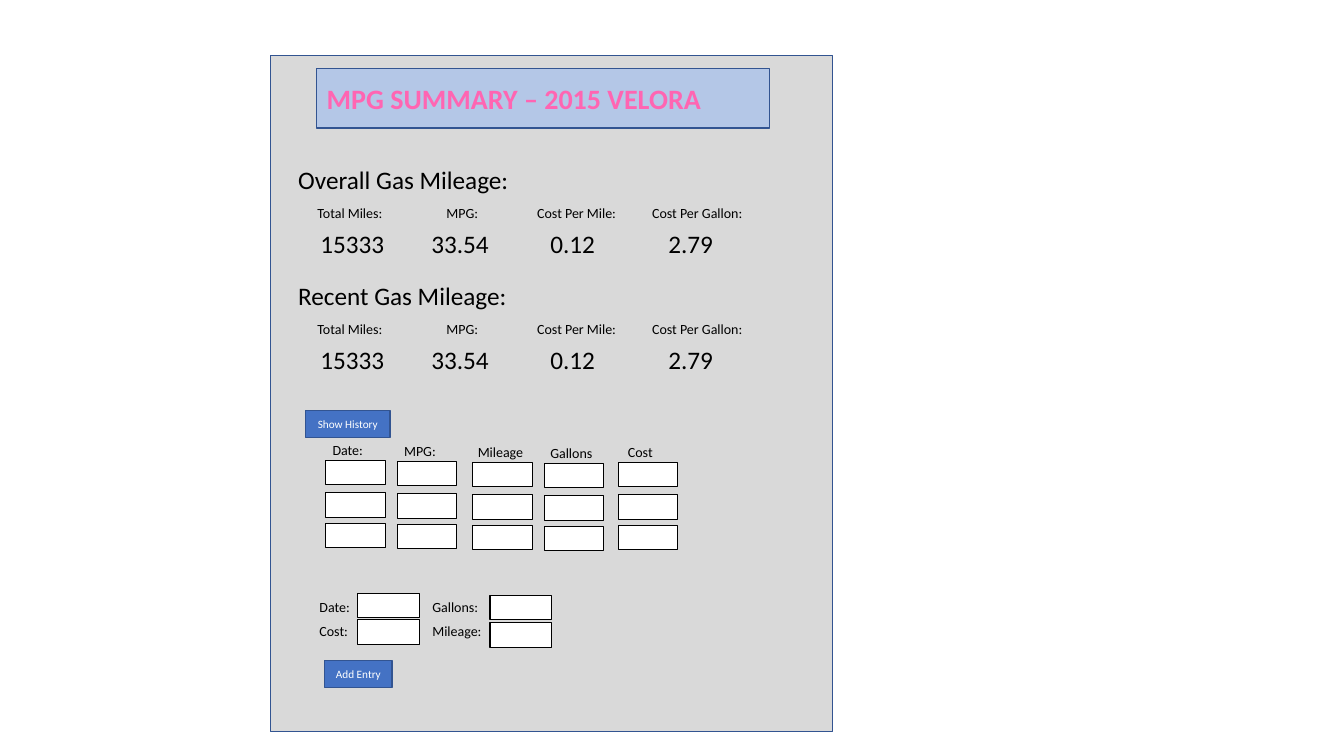
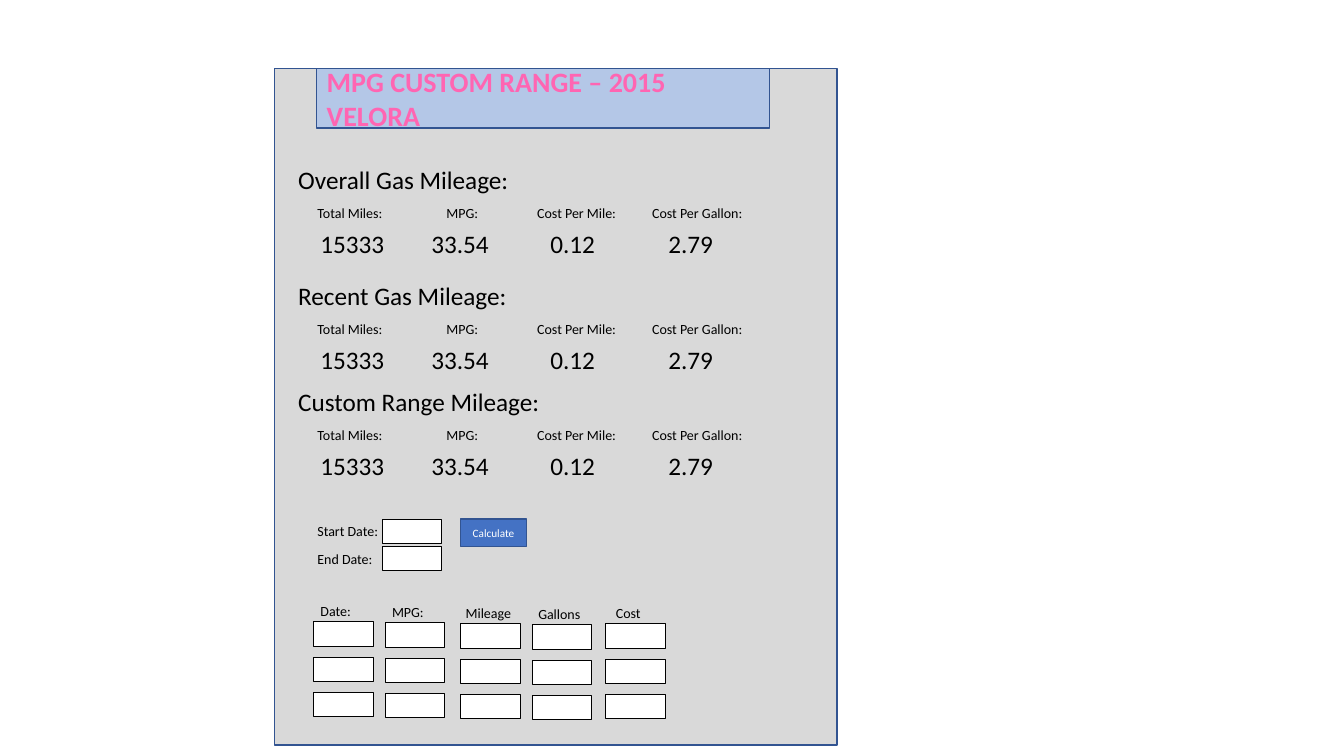
from pptx import Presentation
from pptx.dml.color import RGBColor
from pptx.enum.shapes import MSO_SHAPE
from pptx.enum.text import MSO_ANCHOR, MSO_AUTO_SIZE, PP_ALIGN
from pptx.util import Inches, Pt

RECT = MSO_SHAPE.RECTANGLE
LEFT, CENTER = PP_ALIGN.LEFT, PP_ALIGN.CENTER
TOP, MIDDLE = MSO_ANCHOR.TOP, MSO_ANCHOR.MIDDLE
NO_FIT = MSO_AUTO_SIZE.NONE
TITLE_ONLY = 5

COLORS = {"panel": "D9D9D9", "band": "B4C7E7", "button": "4472C4",
          "field": "FFFFFF", "border": "325491", "black": "000000",
          "white": "FFFFFF", "title": "FF65B2"}

# Size, bold, colour, alignment and anchor of each kind of text
TEXT = {
    "title": (20, True, "title", LEFT, MIDDLE),
    "heading": (18, False, "black", LEFT, TOP),
    "label": (10, False, "black", LEFT, TOP),
    "button": (8, False, "white", CENTER, MIDDLE),
}

# Fill, border colour and border width of each kind of box
BOX = {
    "panel": ("panel", "border", 1),
    "title": ("band", "border", 1),
    "button": ("button", "border", 1),
    "field": ("field", "black", 0.75),
}

# Label, its left and width, value, its left
STATS = [
    ("Total Miles:", 3.05, 0.89, "15333", 3.08),
    ("MPG:", 4.33, 0.59, "33.54", 4.18),
    ("Cost Per Mile:", 5.23, 1.16, "0.12", 5.36),
    ("Cost Per Gallon:", 6.37, 1.16, "2.79", 6.53),
]

# History column: label, label shift, left and top offset of its fields
HISTORY = [
    ("Date:", -0.03, 0, 0),
    ("MPG:", -0.03, 0.71, 0.01),
    ("Mileage", -0.05, 1.46, 0.02),
    ("Gallons", -0.04, 2.17, 0.03),
    ("Cost", 0, 2.9, 0.02),
]

# Inputs: label, its left, top and width, then left, top and width of the field
SLIDES = [
    {
        "title": "MPG SUMMARY – 2015 VELORA",
        "panel": (2.68, 0.55),
        "sections": [("Overall Gas Mileage:", 1.58),
                     ("Recent Gas Mileage:", 2.73)],
        "buttons": [("Show History", 3.03, 4.07, 0.84),
                    ("Add Entry", 3.22, 6.55, 0.67)],
        "history": (3.23, [4.57, 4.89, 5.19]),
        "inputs": [("Date:", 3.07, 5.89, 0.59, 3.55, 5.89, 0.61),
                   ("Cost:", 3.07, 6.13, 0.54, 3.55, 6.15, 0.61),
                   ("Gallons:", 4.19, 5.89, 1.16, 4.86, 5.91, 0.61),
                   ("Mileage:", 4.19, 6.13, 1.16, 4.86, 6.18, 0.61)],
    },
    {
        "title": "MPG CUSTOM RANGE – 2015 VELORA",
        "panel": (2.72, 0.68),
        "sections": [("Overall Gas Mileage:", 1.58),
                     ("Recent Gas Mileage:", 2.73),
                     ("Custom Range Mileage:", 3.78)],
        "buttons": [("Calculate", 4.57, 5.15, 0.65)],
        "history": (3.11, [6.17, 6.52, 6.87]),
        "inputs": [("Start Date:", 3.05, 5.13, 0.83, 3.79, 5.15, 0.59),
                   ("End Date:", 3.05, 5.41, 0.83, 3.79, 5.42, 0.59)],
    },
]


def style(sp, box=None, text=None, kind=None):
    """Paint a shape as a kind of box and write text of a given kind in it."""
    if box:
        fill, border, width = BOX[box]
        sp.fill.solid()
        sp.fill.fore_color.rgb = RGBColor.from_string(COLORS[fill])
        sp.line.color.rgb = RGBColor.from_string(COLORS[border])
        sp.line.width = Pt(width)
    if text:
        size, bold, color, align, anchor = TEXT[kind]
        tf = sp.text_frame
        frame_format = {"word_wrap": True, "auto_size": NO_FIT,
                        "vertical_anchor": anchor}
        for name, value in frame_format.items():
            setattr(tf, name, value)
        p = tf.paragraphs[0]
        p.alignment = align
        r = p.add_run()
        r.text = text
        font_format = {"name": "Calibri", "size": Pt(size), "bold": bold}
        for name, value in font_format.items():
            setattr(r.font, name, value)
        r.font.color.rgb = RGBColor.from_string(COLORS[color])


def add(s, left, top, width, height, box=None, text=None, kind=None):
    """Add a rectangle if a kind of box is given, otherwise a text box."""
    at = [Inches(v) for v in (left, top, width, height)]
    if box:
        sp = s.shapes.add_shape(RECT, *at)
        sp.shadow.inherit = False
    else:
        sp = s.shapes.add_textbox(*at)
    style(sp, box, text, kind)
    return sp


prs = Presentation()
prs.slide_width, prs.slide_height = Inches(13.33), Inches(7.5)

for page in SLIDES:
    s = prs.slides.add_slide(prs.slide_layouts[TITLE_ONLY])

    # The panel goes behind the title placeholder
    panel = add(s, *page["panel"], 5.58, 6.71, "panel")
    s.shapes.element.insert(2, panel.element)

    title = s.shapes.title
    title.left, title.top = Inches(3.14), Inches(0.68)
    title.width, title.height = Inches(4.49), Inches(0.59)
    style(title, "title", page["title"], "title")

    for text, left, top, width in page["buttons"]:
        add(s, left, top, width, 0.27, "button", text, "button")

    for heading, top in page["sections"]:
        add(s, 2.86, top, 2.93, 0.4, None, heading, "heading")
        for label, left, width, value, value_left in STATS:
            add(s, left, top + 0.4, width, 0.27, None, label, "label")
            add(s, value_left, top + 0.64, 1, 0.4, None, value, "heading")

    for label, left, top, width, field_left, field_top, field_width in page["inputs"]:
        add(s, left, top, width, 0.27, None, label, "label")
        add(s, field_left, field_top, field_width, 0.24, "field")

    history_left, row_tops = page["history"]
    for label, shift, dx, dy in HISTORY:
        left = history_left + dx
        add(s, left + shift, row_tops[0] + dy - 0.24, 0.69, 0.27, None, label, "label")
        for top in row_tops:
            add(s, left, top + dy, 0.59, 0.24, "field")

prs.save("out.pptx")
